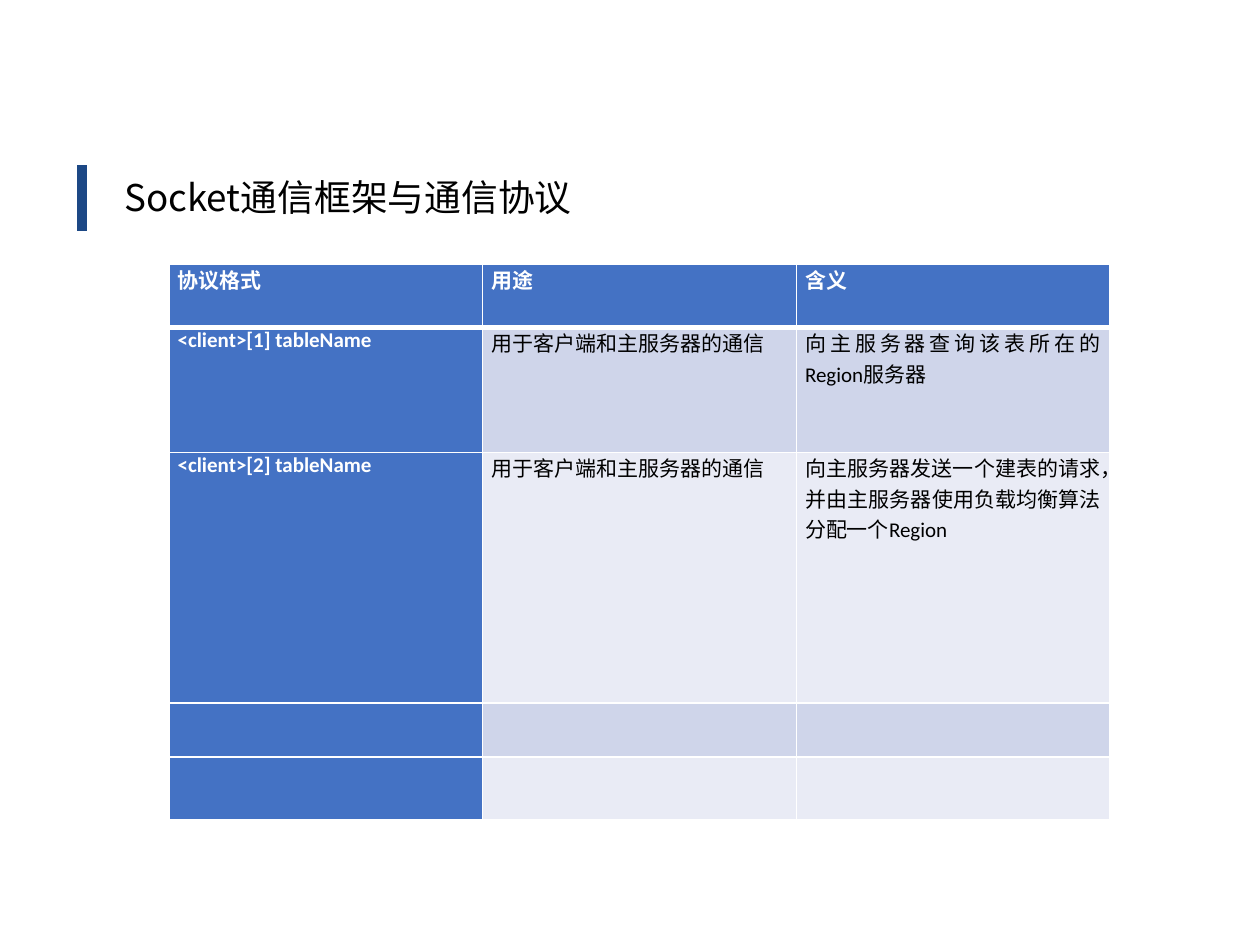
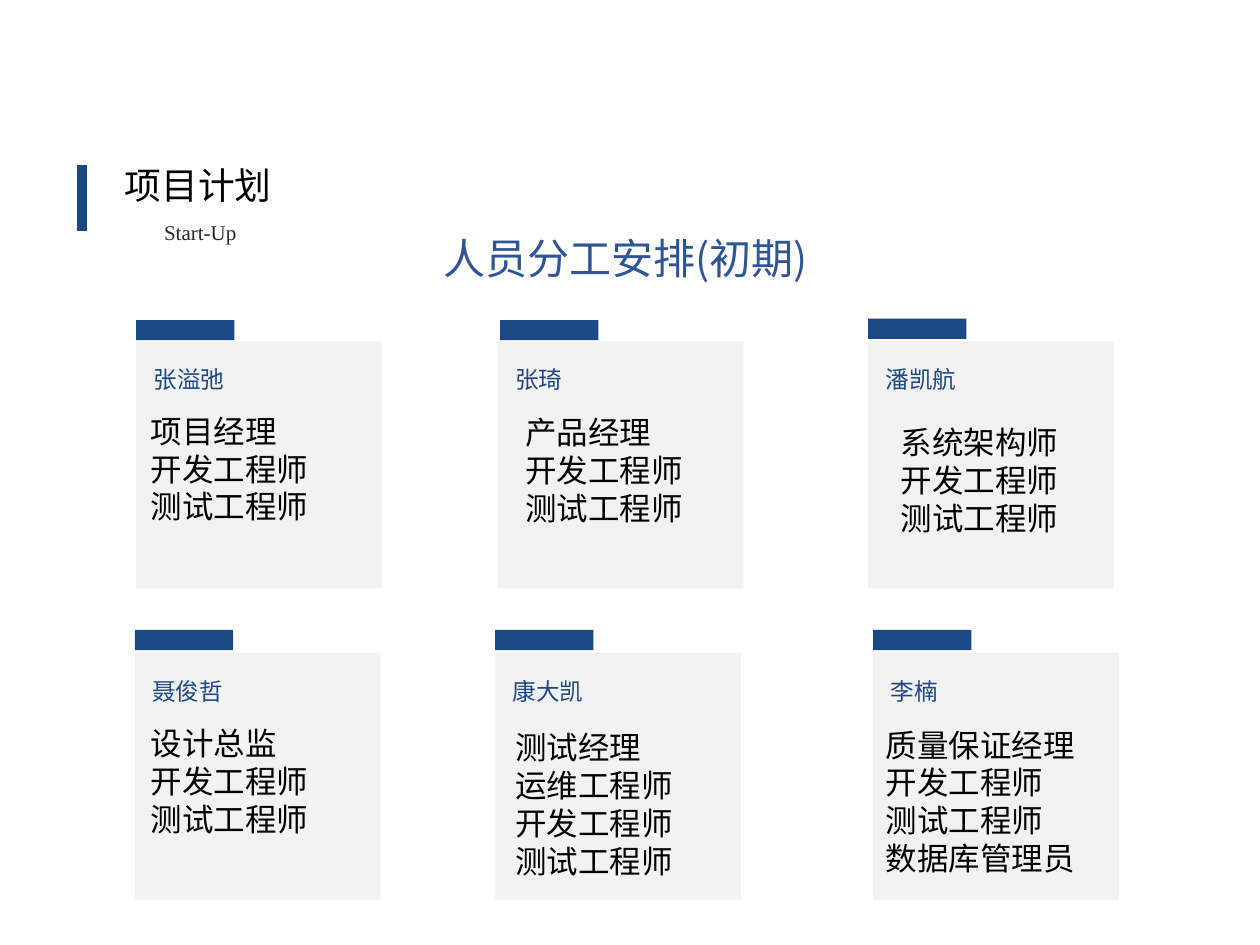
from lxml import etree
from pptx import Presentation
from pptx.dml.color import RGBColor
from pptx.enum.shapes import MSO_CONNECTOR, MSO_SHAPE
from pptx.enum.text import PP_ALIGN
from pptx.oxml.ns import qn
from pptx.util import Inches, Pt

LEFT, CENTER, JUSTIFY = PP_ALIGN.LEFT, PP_ALIGN.CENTER, PP_ALIGN.JUSTIFY
RECTANGLE, STRAIGHT = MSO_SHAPE.RECTANGLE, MSO_CONNECTOR.STRAIGHT

COLORS = {
    "navy": "1C4885", "heading": "2F5597", "subtitle": "262626",
    "card": "F2F2F2", "black": "000000", "white": "FFFFFF",
    "header": "4472C4", "band_dark": "CFD5EA", "band_light": "E9EBF5",
}
CJK, LATIN, SERIF = "Noto Sans CJK SC", "Calibri", "Times New Roman"

PROTOCOL_TITLE = "Socket通信框架与通信协议"
PROTOCOL_ROWS = [
    ("协议格式", "用途", "含义"),
    ("<client>[1] tableName", "用于客户端和主服务器的通信",
     "向主服务器查询该表所在的Region服务器"),
    ("<client>[2] tableName", "用于客户端和主服务器的通信",
     "向主服务器发送一个建表的请求，并由主服务器使用负载均衡算法分配一个Region"),
    ("", "", ""),
    ("", "", ""),
]
ROW_HEIGHTS = [0.5, 0.99, 1.99, 0.43, 0.5]
COLUMN_WIDTH = 2.49

PLAN_TITLE = "项目计划"
PLAN_SUBTITLE = "Start-Up"
PLAN_HEADING = "人员分工安排(初期)"
DEVELOPER, TESTER = "开发工程师", "测试工程师"
# Each member: name, roles, card left, tab left, tab top, roles left, roles top
MEMBER_ROWS = [
    (2.71, [
        ("张溢弛", ["项目经理", DEVELOPER, TESTER], 1.08, 1.08, 2.54, 1.1, 3.22),
        ("张琦", ["产品经理", DEVELOPER, TESTER], 3.95, 3.97, 2.54, 4.07, 3.23),
        ("潘凯航", ["系统架构师", DEVELOPER, TESTER], 6.89, 6.89, 2.53, 7.05, 3.31),
    ]),
    (5.18, [
        ("聂俊哲", ["设计总监", DEVELOPER, TESTER], 1.07, 1.07, 5, 1.1, 5.7),
        ("康大凯", ["测试经理", "运维工程师", DEVELOPER, TESTER],
         3.93, 3.93, 5, 3.99, 5.73),
        ("李楠", ["质量保证经理", DEVELOPER, TESTER, "数据库管理员"],
         6.93, 6.93, 5, 6.93, 5.71),
    ]),
]
CARD_SIZE = (1.95, 1.96)
TAB_SIZE = (0.78, 0.16)


def rgb(color):
    return RGBColor.from_string(COLORS[color])


def style(paragraph, size, font, color, align=LEFT, bold=False):
    paragraph.alignment = align
    paragraph.font.size = Pt(size)
    paragraph.font.name = font
    paragraph.font.bold = bold
    paragraph.font.color.rgb = rgb(color)


def add_text(page, lines, left, top, width, height, size, font, color, align=LEFT):
    box = page.shapes.add_textbox(*map(Inches, (left, top, width, height)))
    frame = box.text_frame
    frame.word_wrap = True
    frame.text = "\n".join(lines)
    for paragraph in frame.paragraphs:
        style(paragraph, size, font, color, align)


def add_block(page, left, top, size, color):
    block = page.shapes.add_shape(RECTANGLE, *map(Inches, (left, top, *size)))
    block.shadow.inherit = False
    block.fill.solid()
    block.fill.fore_color.rgb = rgb(color)
    block.line.fill.background()


def add_titled_page(deck, title, top, width):
    page = deck.slides.add_slide(deck.slide_layouts[6])
    bar = page.shapes.add_connector(STRAIGHT, *map(Inches, (0.65, 1.31, 0.65, 1.83)))
    bar.line.color.rgb = rgb("navy")
    bar.line.width = Pt(6)
    etree.SubElement(bar._element.spPr, qn("a:effectLst"))
    add_text(page, [title], 0.89, top, width, 0.45, 21, CJK, "black")
    return page


def set_borders(cell, row_index):
    thick_side = {0: "lnB", 1: "lnT"}.get(row_index)
    properties = cell._tc.get_or_add_tcPr()
    for position, side in enumerate(("lnL", "lnR", "lnT", "lnB")):
        border = etree.Element(qn("a:" + side))
        border.set("w", str(Pt(3 if side == thick_side else 1)))
        fill = etree.SubElement(border, qn("a:solidFill"))
        etree.SubElement(fill, qn("a:srgbClr")).set("val", COLORS["white"])
        properties.insert(position, border)


def fill_cell(cell, text, row_index, column_index):
    emphasized = row_index == 0 or column_index == 0
    band = "band_dark" if row_index % 2 else "band_light"
    cell.fill.solid()
    cell.fill.fore_color.rgb = rgb("header" if emphasized else band)
    cell.margin_left = cell.margin_right = Inches(0.07)
    cell.margin_top = cell.margin_bottom = 0
    set_borders(cell, row_index)
    cell.text = text
    style(cell.text_frame.paragraphs[0], 12, LATIN,
          "white" if emphasized else "black", JUSTIFY, emphasized)


def build_protocol_page(deck):
    page = add_titled_page(deck, PROTOCOL_TITLE, 1.34, 4.7)
    columns = len(PROTOCOL_ROWS[0])
    table = page.shapes.add_table(
        len(PROTOCOL_ROWS), columns, Inches(1.34), Inches(2.1),
        Inches(COLUMN_WIDTH * columns), Inches(sum(ROW_HEIGHTS))).table
    for column in table.columns:
        column.width = Inches(COLUMN_WIDTH)
    for row_index, texts in enumerate(PROTOCOL_ROWS):
        table.rows[row_index].height = Inches(ROW_HEIGHTS[row_index])
        for column_index, text in enumerate(texts):
            fill_cell(table.cell(row_index, column_index), text, row_index, column_index)


def build_plan_page(deck):
    page = add_titled_page(deck, PLAN_TITLE, 1.24, 1.92)
    add_text(page, [PLAN_SUBTITLE], 0.36, 1.69, 2.46, 0.3, 12, SERIF, "subtitle", CENTER)
    add_text(page, [PLAN_HEADING], 3.24, 1.8, 3.45, 0.5, 24, CJK, "heading", CENTER)
    for card_top, members in MEMBER_ROWS:
        for name, roles, card_left, tab_left, tab_top, roles_left, roles_top in members:
            add_block(page, card_left, card_top, CARD_SIZE, "card")
            add_block(page, tab_left, tab_top, TAB_SIZE, "navy")
            add_text(page, [name], card_left + 0.04, card_top + 0.14, 1.95, 0.33,
                     13.5, CJK, "navy")
            add_text(page, roles, roles_left, roles_top, 2.1, 0.1 + 0.3 * len(roles),
                     18, LATIN, "black")


def main():
    deck = Presentation()
    deck.slide_width, deck.slide_height = Inches(10), Inches(7.5)
    build_protocol_page(deck)
    build_plan_page(deck)
    deck.save("out.pptx")


if __name__ == "__main__":
    main()
